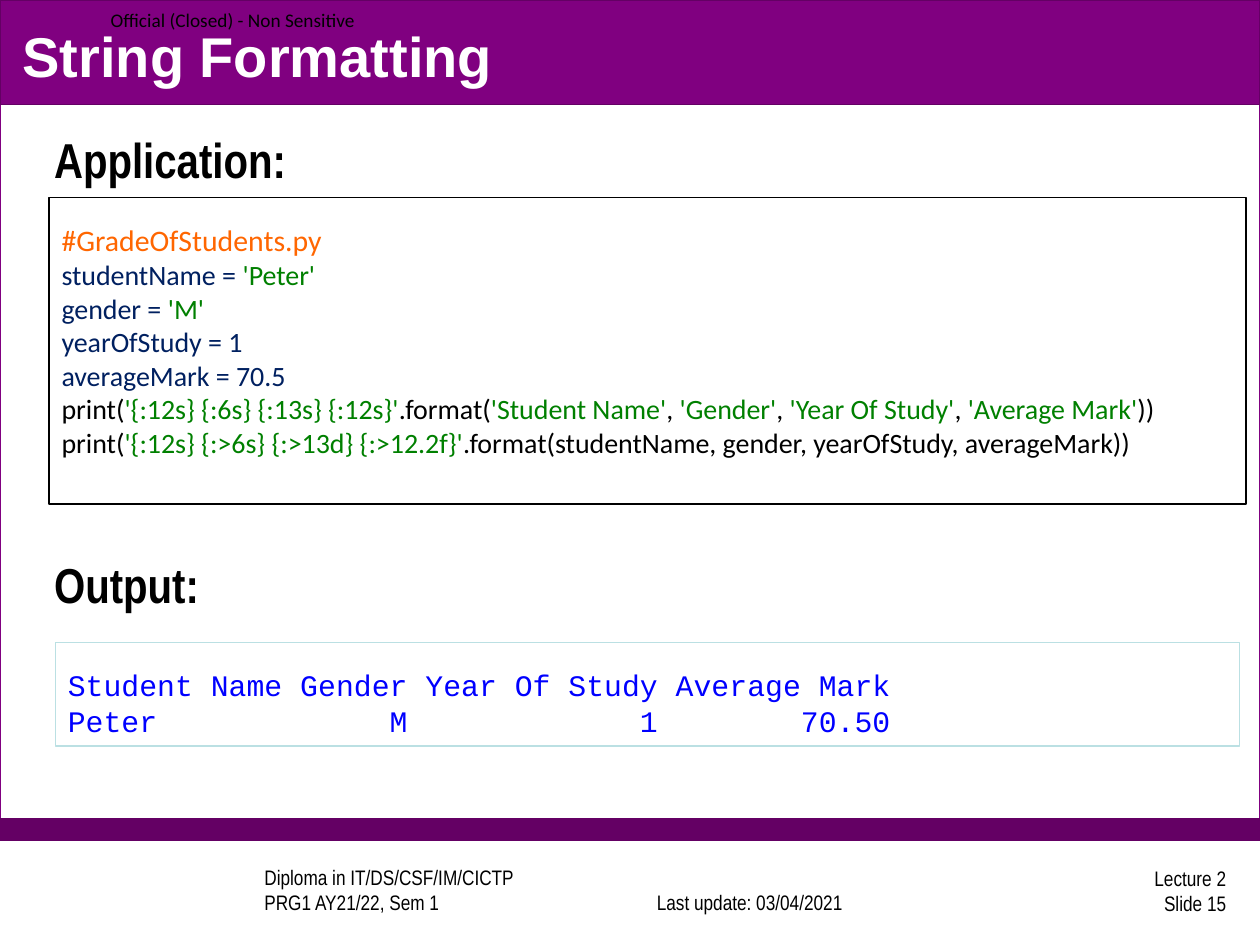
from dataclasses import dataclass

from pptx import Presentation
from pptx.dml.color import RGBColor
from pptx.enum.shapes import MSO_SHAPE
from pptx.enum.text import MSO_ANCHOR, MSO_AUTO_SIZE, PP_ALIGN
from pptx.oxml.ns import qn
from pptx.util import Inches, Pt


@dataclass(frozen=True)
class Theme:
    white: str = "FFFFFF"
    black: str = "000000"
    purple: str = "800080"
    dark_purple: str = "640064"
    pale_blue: str = "BBE0E3"
    comment: str = "FF6600"
    variable: str = "002060"
    string: str = "008000"
    output: str = "0000FF"
    title_font: str = "Arial"
    heading_font: str = "Arial Narrow"
    code_font: str = "Calibri"
    output_font: str = "Courier New"
    title_size: int = 32
    heading_size: int = 28
    lead_size: int = 17
    code_size: int = 16
    footer_size: int = 12
    label_size: int = 11


THEME = Theme()

CODE_LINES = [
    [("#GradeOfStudents.py", THEME.comment)],
    [("studentName = ", THEME.variable), ("'Peter'", THEME.string)],
    [("gender = ", THEME.variable), ("'M'", THEME.string)],
    [("yearOfStudy = 1", THEME.variable)],
    [("averageMark = 70.5", THEME.variable)],
    [("print(", THEME.black), ("'{:12s} {:6s} {:13s} {:12s}'", THEME.string),
     (".format(", THEME.black), ("'Student Name'", THEME.string),
     (",", THEME.black), (" 'Gender'", THEME.string),
     (",", THEME.black), (" 'Year Of Study'", THEME.string),
     (",", THEME.black), (" 'Average Mark'", THEME.string), ("))", THEME.black)],
    [("print(", THEME.black), ("'{:12s} {:>6s} {:>13d} {:>12.2f}'", THEME.string),
     (".format(studentName, gender, yearOfStudy, averageMark))", THEME.black)],
]

OUTPUT_LINES = [
    [("Student Name Gender Year Of Study Average Mark", THEME.output)],
    [("Peter             M             1        70.50", THEME.output)],
]


def style_font(font, name, size, color, bold=False):
    font.name = name
    font.size = Pt(size)
    font.bold = bold
    font.color.rgb = RGBColor.from_string(color)


def place(shape, left, top, width, height):
    shape.left, shape.top = Inches(left), Inches(top)
    shape.width, shape.height = Inches(width), Inches(height)


def add_panel(slide, left, top, width, height, fill, line):
    panel = slide.shapes.add_shape(MSO_SHAPE.RECTANGLE, Inches(left), Inches(top),
                                   Inches(width), Inches(height))
    panel.shadow.inherit = False
    panel.fill.solid()
    panel.fill.fore_color.rgb = RGBColor.from_string(fill)
    panel.line.color.rgb = RGBColor.from_string(line)
    panel.line.width = Pt(0.75)
    return panel


def add_label(slide, left, top, width, height, text, font, size,
              anchor=MSO_ANCHOR.MIDDLE, align=PP_ALIGN.LEFT):
    label = slide.shapes.add_textbox(Inches(left), Inches(top),
                                     Inches(width), Inches(height))
    frame = label.text_frame
    frame.word_wrap = True
    frame.vertical_anchor = anchor
    frame.text = text
    for paragraph in frame.paragraphs:
        paragraph.alignment = align
        for run in paragraph.runs:
            style_font(run.font, font, size, THEME.black)


def add_listing(slide, left, top, width, height, border, lines, font, size):
    """Bordered box of coloured lines; the first line is larger and looser."""
    box = add_panel(slide, left, top, width, height, THEME.white, border)
    frame = box.text_frame
    frame.word_wrap = True
    frame.vertical_anchor = MSO_ANCHOR.TOP
    for index, pieces in enumerate(lines):
        paragraph = frame.add_paragraph() if index else frame.paragraphs[0]
        paragraph.alignment = PP_ALIGN.LEFT
        paragraph.line_spacing = 1.0 if index else 1.5
        for text, color in pieces:
            run = paragraph.add_run()
            run.text = text
            style_font(run.font, font, size if index else THEME.lead_size, color)


def bring_to_front(shape):
    shape.element.getparent().append(shape.element)


def fill_title(title):
    place(title, 0.08, 0.13, 9.83, 0.62)
    bring_to_front(title)
    frame = title.text_frame
    frame.text = "String Formatting"
    frame.auto_size = MSO_AUTO_SIZE.NONE
    frame.vertical_anchor = MSO_ANCHOR.MIDDLE
    heading = frame.paragraphs[0]
    heading.alignment = PP_ALIGN.LEFT
    style_font(heading.runs[0].font, THEME.title_font, THEME.title_size,
               THEME.white, bold=True)


def fill_headings(body):
    place(body, 0.33, 0.93, 9, 3.98)
    bring_to_front(body)
    frame = body.text_frame
    frame.text = "Application:\nOutput:"
    frame.auto_size = MSO_AUTO_SIZE.NONE
    frame.margin_top = Inches(0.1)
    # The gap between the headings leaves room for the code box
    for paragraph, gap in zip(frame.paragraphs, (0, 209)):
        properties = paragraph._p.get_or_add_pPr()
        properties.set("marL", "0")
        properties.set("indent", "0")
        properties.append(properties.makeelement(qn("a:buNone"), {}))
        paragraph.space_before = Pt(gap)
        style_font(paragraph.runs[0].font, THEME.heading_font,
                   THEME.heading_size, THEME.black, bold=True)


def main():
    deck = Presentation()
    deck.slide_width, deck.slide_height = Inches(10), Inches(7.5)
    slide = deck.slides.add_slide(deck.slide_layouts[1])

    # Frame and bands
    add_panel(slide, 0, 0, 10, 6.67, THEME.white, THEME.purple)
    add_panel(slide, 0, 6.5, 10, 0.17, THEME.dark_purple, THEME.dark_purple)
    add_panel(slide, 0, 0, 10, 0.83, THEME.purple, THEME.dark_purple)

    # Footer and classification
    footer = (THEME.heading_font, THEME.footer_size)
    add_label(slide, 2, 6.89, 2.67, 0.42,
              "Diploma in IT/DS/CSF/IM/CICTP\nPRG1 AY21/22, Sem 1",
              *footer, anchor=MSO_ANCHOR.BOTTOM)
    add_label(slide, 4.91, 6.89, 2.08, 0.42, "Last update: 03/04/2021",
              *footer, anchor=MSO_ANCHOR.BOTTOM, align=PP_ALIGN.CENTER)
    add_label(slide, 7.75, 6.86, 2.08, 0.42, "Lecture 2\nSlide 15",
              *footer, align=PP_ALIGN.RIGHT)
    add_label(slide, 0.78, 0, 2.4, 0.31, "Official (Closed) - Non Sensitive",
              THEME.code_font, THEME.label_size)

    # Title and section headings
    fill_title(slide.shapes.title)
    fill_headings(slide.placeholders[1])

    # Program and its output
    add_listing(slide, 0.39, 1.57, 9.5, 2.43, THEME.black, CODE_LINES,
                THEME.code_font, THEME.code_size)
    add_listing(slide, 0.44, 5.1, 9.4, 0.82, THEME.pale_blue, OUTPUT_LINES,
                THEME.output_font, THEME.lead_size)

    deck.save("out.pptx")


if __name__ == "__main__":
    main()
